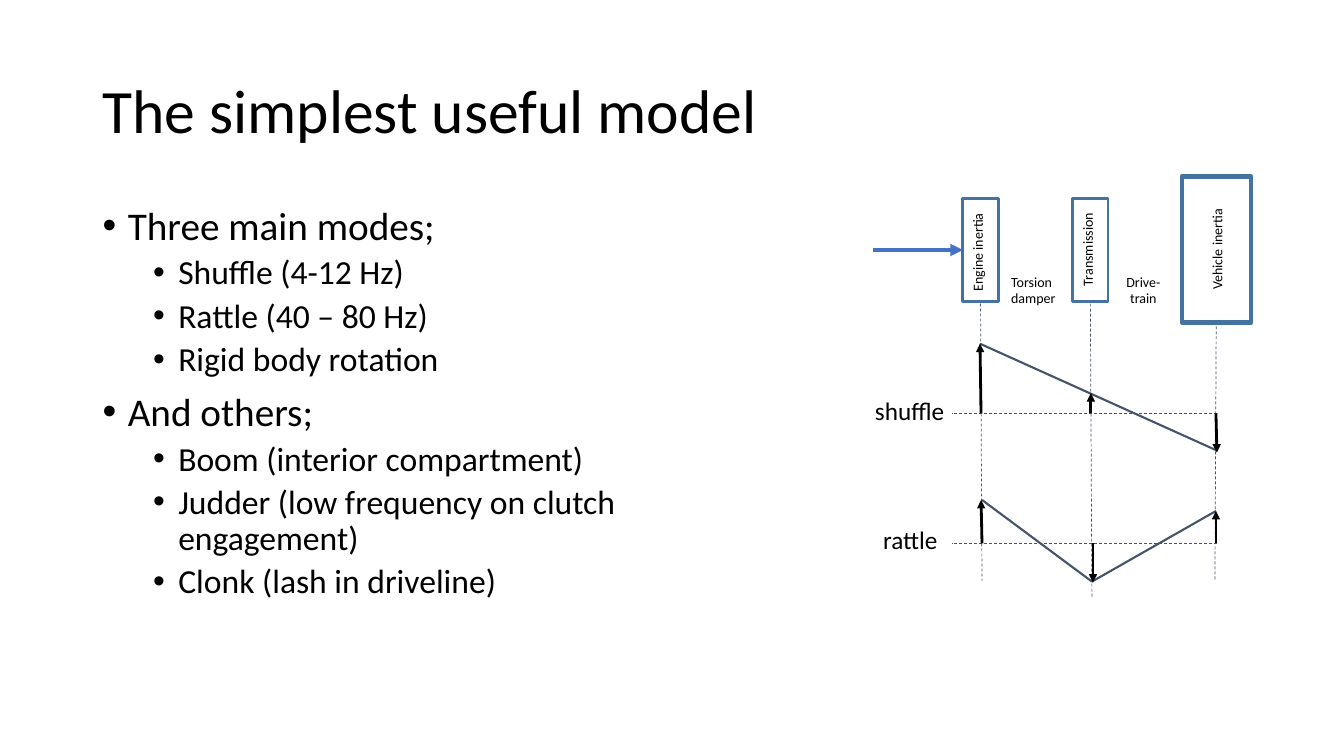
from lxml import etree
from pptx import Presentation
from pptx.dml.color import RGBColor
from pptx.enum.dml import MSO_LINE
from pptx.enum.shapes import MSO_CONNECTOR, MSO_SHAPE
from pptx.enum.text import MSO_ANCHOR, PP_ALIGN
from pptx.oxml.ns import qn
from pptx.util import Emu, Pt

STRAIGHT = MSO_CONNECTOR.STRAIGHT
RECTANGLE = MSO_SHAPE.RECTANGLE
DASH = MSO_LINE.DASH
TOP, MIDDLE = MSO_ANCHOR.TOP, MSO_ANCHOR.MIDDLE
LEFT, CENTER = PP_ALIGN.LEFT, PP_ALIGN.CENTER
PX = 9144
FONT = "Calibri"
BLACK, WHITE = "000000", "FFFFFF"
SLATE, BLUE, BOX_BLUE = "44546A", "4472C4", "43739E"


def color(value):
    return RGBColor.from_string(value)


def px(*lengths):
    return [Emu(length * PX) for length in lengths]


class SlideBuilder:
    def __init__(self, slide):
        self.slide = slide

    def line(self, start, end, stroke, width, dashed=False, arrow=False):
        connector = self.slide.shapes.add_connector(STRAIGHT, *px(*start, *end))
        connector.line.color.rgb = color(stroke)
        connector.line.width = Pt(width)
        if dashed:
            connector.line.dash_style = DASH
        properties = connector._element.spPr
        if arrow:
            outline = properties.find(qn("a:ln"))
            etree.SubElement(outline, qn("a:tailEnd"), type="triangle")
        etree.SubElement(properties, qn("a:effectLst"))

    def box(self, bounds, width):
        shape = self.slide.shapes.add_shape(RECTANGLE, *px(*bounds))
        shape.shadow.inherit = False
        shape.fill.solid()
        shape.fill.fore_color.rgb = color(WHITE)
        shape.line.color.rgb = color(BOX_BLUE)
        shape.line.width = Pt(width)

    def frame(self, bounds, wrap=False, anchor=TOP, rotation=0):
        shape = self.slide.shapes.add_textbox(*px(*bounds))
        shape.rotation = rotation
        shape.text_frame.word_wrap = wrap
        shape.text_frame.vertical_anchor = anchor
        return shape.text_frame

    def style(self, paragraph, size, align=LEFT):
        paragraph.alignment = align
        paragraph.font.name = FONT
        paragraph.font.size = Pt(size)
        paragraph.font.color.rgb = color(BLACK)

    def label(self, bounds, text, size, align=LEFT, rotation=0):
        frame = self.frame(bounds, rotation=rotation)
        frame.text = text
        for paragraph in frame.paragraphs:
            self.style(paragraph, size, align)

    def title(self, bounds, text):
        frame = self.frame(bounds, True, MIDDLE)
        frame.text = text
        frame.paragraphs[0].line_spacing = 0.9
        self.style(frame.paragraphs[0], 44)

    def bullets(self, bounds, items):
        frame = self.frame(bounds, True)
        frame.text = "\n".join(text for level, text in items)
        for index, (paragraph, (level, text)) in enumerate(zip(frame.paragraphs, items)):
            paragraph.level = level
            properties = paragraph._p.get_or_add_pPr()
            indent, hanging = px(25 + 50 * level, -25)
            properties.set("marL", str(indent))
            properties.set("indent", str(hanging))
            etree.SubElement(properties, qn("a:buFont"), typeface="Arial")
            etree.SubElement(properties, qn("a:buChar"), char="•")
            paragraph.line_spacing = 0.9
            if index:
                paragraph.space_before = Pt(5 if level else 10)
            self.style(paragraph, 24 if level else 28)


def main():
    presentation = Presentation()
    presentation.slide_width, presentation.slide_height = px(1333, 750)
    builder = SlideBuilder(presentation.slides.add_slide(presentation.slide_layouts[6]))

    inertia_axes = [
        ((1207, 175), (1205, 576)),
        ((1081, 217), (1083, 594)),
        ((972, 197), (974, 576)),
    ]
    for start, end in inertia_axes:
        builder.line(start, end, SLATE, 0.5, dashed=True)

    builder.title((92, 40, 1150, 145), "The simplest useful model")
    builder.line((866, 248), (955, 248), BLUE, 3, arrow=True)

    inertias = [
        ("Engine inertia", (955, 197, 35, 102), 2, (903, 237, 133, 27)),
        ("Transmission", (1064, 197, 35, 102), 2, (1031, 234, 95, 27)),
        ("Vehicle inertia", (1172, 175, 69, 145), 3, (1156, 234, 102, 27)),
    ]
    for name, box_bounds, width, label_bounds in inertias:
        builder.box(box_bounds, width)
        builder.label(label_bounds, name, 10, CENTER, 270)

    builder.label((993, 266, 65, 44), "Torsion\ndamper", 10)
    builder.label((1107, 266, 54, 44), "Drive-\ntrain", 10, CENTER)

    modes = [
        ("shuffle", (858, 387, 90, 40), 410,
         [((972, 341), (1207, 447))],
         [(973, 972, 341), (1082, 1082, 390), (1206, 1207, 449)]),
        ("rattle", (866, 515, 75, 40), 539,
         [((974, 496), (1083, 577)), ((1083, 577), (1206, 507))],
         [(974, 973, 496), (1084, 1084, 578), (1206, 1206, 507)]),
    ]
    for name, label_bounds, baseline, segments, arrows in modes:
        builder.line((1207, baseline), (944, baseline), SLATE, 0.5, dashed=True)
        builder.label(label_bounds, name, 18)
        for start, end in segments:
            builder.line(start, end, SLATE, 1.5)
        for foot, tip, height in arrows:
            builder.line((foot, baseline), (tip, height), BLACK, 2, arrow=True)

    builder.bullets((92, 200, 694, 476), [
        (0, "Three main modes;"),
        (1, "Shuffle (4-12 Hz)"),
        (1, "Rattle (40 – 80 Hz)"),
        (1, "Rigid body rotation"),
        (0, "And others;"),
        (1, "Boom (interior compartment)"),
        (1, "Judder (low frequency on clutch engagement)"),
        (1, "Clonk (lash in driveline)"),
    ])
    presentation.save("out.pptx")


if __name__ == "__main__":
    main()
